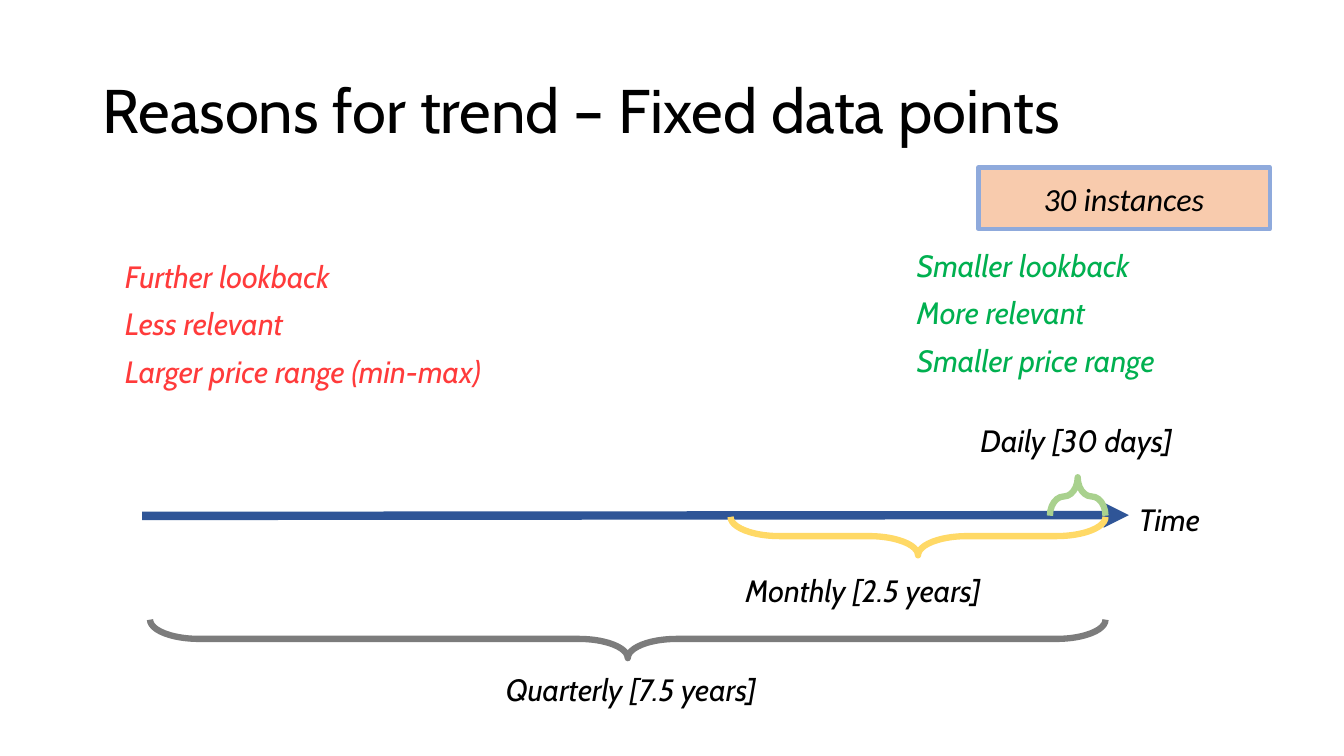
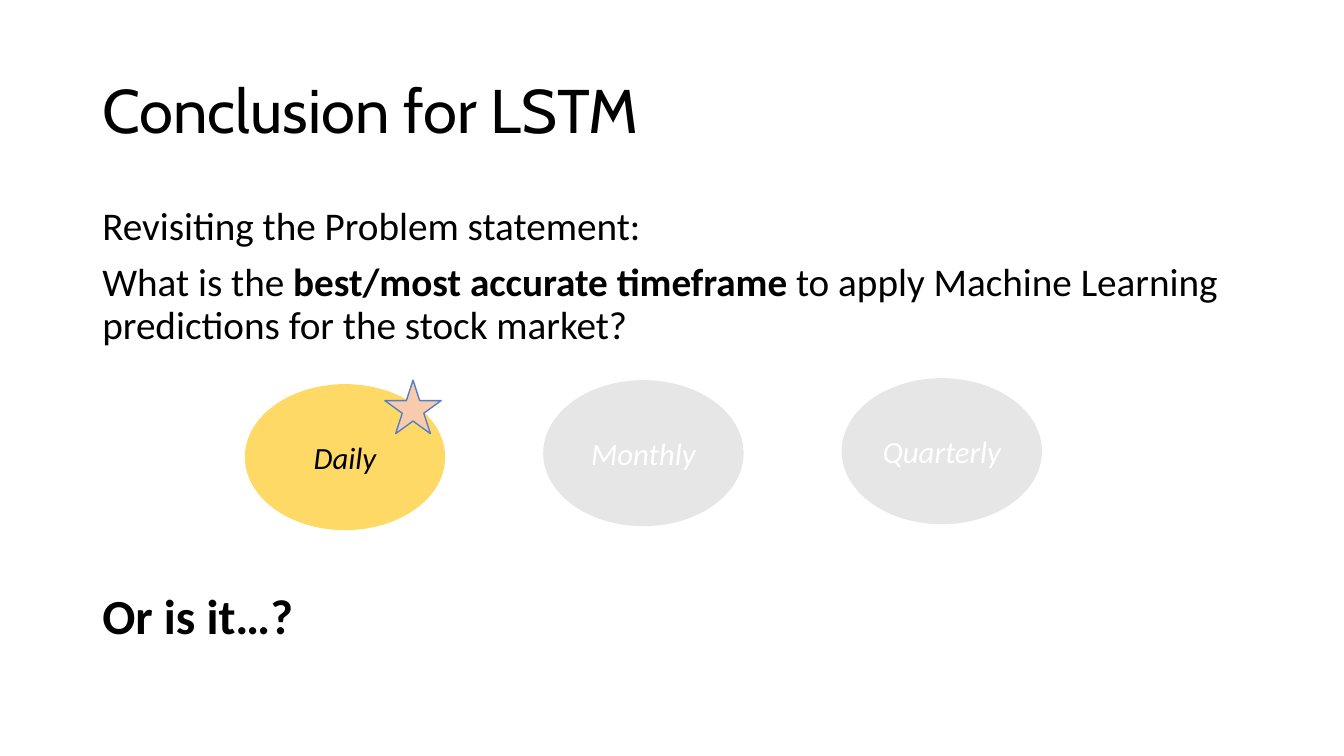
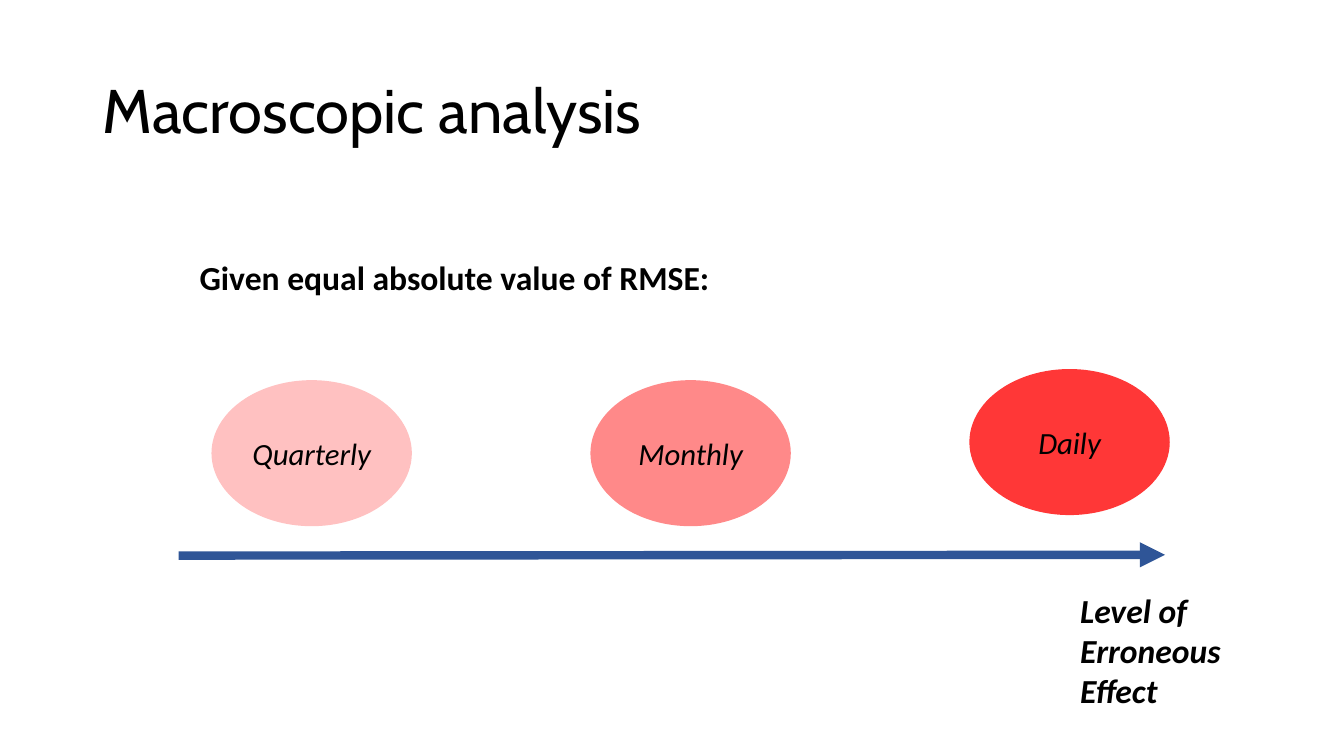
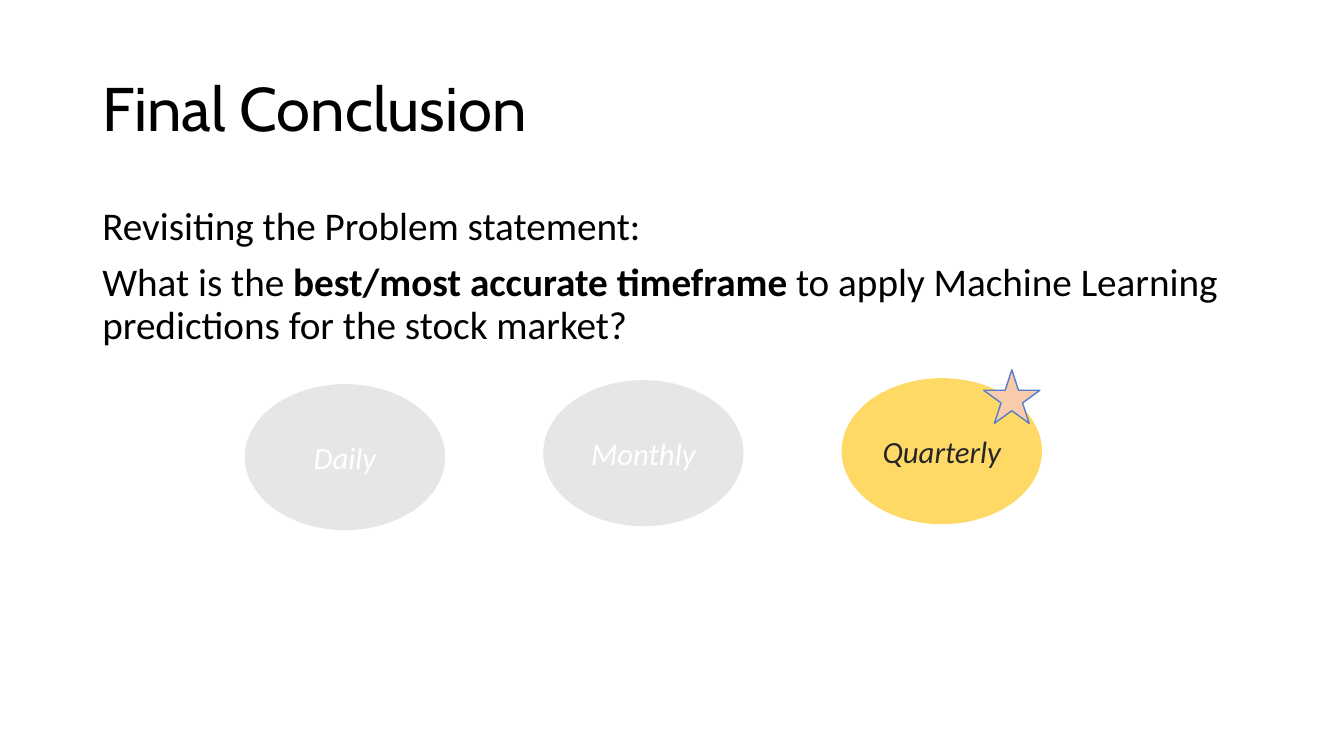
from pptx import Presentation
from pptx.dml.color import RGBColor
from pptx.enum.shapes import MSO_CONNECTOR, MSO_SHAPE
from pptx.enum.text import MSO_ANCHOR, PP_ALIGN
from pptx.oxml.ns import qn
from pptx.util import Cm, Pt
from lxml.etree import SubElement

# Shared look
HEADING, BODY = "Cabin", "Calibri"
BLACK, WHITE = "000000", "FFFFFF"
RED, GREEN, NAVY = "FF3B3B", "00B050", "2F5597"
GOLD, GRAY, PEACH = "FFD966", "E7E6E6", "F8CBAD"
OVAL_WIDTH, OVAL_HEIGHT = 5.05, 3.68


def color(value):
    return RGBColor.from_string(value)


def write(frame, text, font, size, ink, bold=False, italic=False,
          align=PP_ALIGN.LEFT, spacing=0.9):
    """Fill a text frame, one paragraph per line, in a single style."""
    frame.word_wrap = True
    frame.text = text
    for number, para in enumerate(frame.paragraphs):
        para.alignment = align
        para.line_spacing = spacing
        para.space_before = Pt(10 if number else 0)
        for span in para.runs:
            span.font.name, span.font.size = font, Pt(size)
            span.font.bold, span.font.italic = bold, italic
            span.font.color.rgb = color(ink)


deck = Presentation()
deck.slide_width, deck.slide_height = Cm(33.87), Cm(19.05)

# Titles
pages = []
for title, top in [
    ("Reasons for trend – Fixed data points", 1.02),
    ("Conclusion for LSTM", 1.02),
    ("Macroscopic analysis", 1.02),
    ("Final Conclusion", 0.97),
]:
    page = deck.slides.add_slide(deck.slide_layouts[5])
    box = page.shapes.title
    box.left, box.top, box.width, box.height = Cm(2.33), Cm(top), Cm(29.21), Cm(3.68)
    box.text_frame.vertical_anchor = MSO_ANCHOR.MIDDLE
    write(box.text_frame, title, HEADING, 44, BLACK)
    pages.append(page)
trend, lstm, macro, final = pages

# Horizontal arrows
for page, start, end, y in [(trend, 3.58, 28.45, 13), (macro, 4.5, 29.36, 14)]:
    arrow = page.shapes.add_connector(
        MSO_CONNECTOR.STRAIGHT, Cm(start), Cm(y), Cm(end), Cm(y - 0.02))
    arrow.line.color.rgb = color(NAVY)
    arrow.line.width = Pt(6)
    SubElement(arrow.line._get_or_add_ln(), qn("a:tailEnd"), type="triangle")
    SubElement(arrow._element.spPr, qn("a:effectLst"))

# Trend: remarks and time labels
for text, left, top, width, height, ink in [
    ("Further lookback\nLess relevant\nLarger price range (min-max)",
     2.9, 6.48, 11.56, 3.6, RED),
    ("Smaller lookback\nMore relevant\nSmaller price range",
     22.86, 6.2, 8.2, 3.6, GREEN),
    ("Time", 28.45, 12.6, 2.84, 1.3, BLACK),
    ("Daily [30 days]", 24.46, 10.62, 6.43, 1.17, BLACK),
    ("Monthly [2.5 years]", 18.54, 14.38, 7.62, 1.17, BLACK),
    ("Quarterly [7.5 years]", 12.5, 16.89, 8.51, 1.17, BLACK),
]:
    box = trend.shapes.add_textbox(Cm(left), Cm(top), Cm(width), Cm(height))
    write(box.text_frame, text, HEADING, 22, ink, italic=True)

# Trend: braces, all ending at the same moment
BRACE_END, BRACE_DEPTH = 27.86, 0.97
for span_length, middle, turn, ink in [
    (1.4, 12.51, 270, "A9D18E"),
    (9.45, 13.51, 90, GOLD),
    (24.08, 16.1, 90, "7C7C7C"),
]:
    center = BRACE_END - span_length / 2
    brace = trend.shapes.add_shape(
        MSO_SHAPE.RIGHT_BRACE, Cm(center - BRACE_DEPTH / 2),
        Cm(middle - span_length / 2), Cm(BRACE_DEPTH), Cm(span_length))
    brace.rotation = turn
    brace.adjustments[0] = 1.28
    brace.shadow.inherit = False
    brace.fill.background()
    brace.line.color.rgb = color(ink)
    brace.line.width = Pt(4.5)

# Trend: instance count
badge = trend.shapes.add_shape(
    MSO_SHAPE.RECTANGLE, Cm(24.66), Cm(4.22), Cm(7.34), Cm(1.55))
badge.shadow.inherit = False
badge.fill.solid()
badge.fill.fore_color.rgb = color(PEACH)
badge.line.color.rgb = color("8FAADC")
badge.line.width = Pt(3)
write(badge.text_frame, "30 instances", BODY, 23, BLACK, italic=True,
      align=PP_ALIGN.CENTER, spacing=1.0)

# Problem statement on both conclusions
for page in (lstm, final):
    box = page.shapes.add_textbox(Cm(2.33), Cm(5.08), Cm(29.21), Cm(4))
    write(box.text_frame, "Revisiting the Problem statement:\nWhat is the ",
          BODY, 28, BLACK)
    question = box.text_frame.paragraphs[1]
    for text, bold in [
        ("best/most accurate timeframe ", True),
        ("to apply Machine Learning predictions for the stock market?", False),
    ]:
        span = question.add_run()
        span.text = text
        span.font.name, span.font.size, span.font.bold = BODY, Pt(28), bold
        span.font.color.rgb = color(BLACK)

box = lstm.shapes.add_textbox(Cm(2.33), Cm(14.79), Cm(29.21), Cm(1.8))
write(box.text_frame, "Or is it…?", BODY, 35, BLACK, bold=True)

# Macroscopic analysis: captions
for text, left, top, width, height, italic in [
    ("Given equal absolute value of RMSE:", 4.78, 6.35, 16.18, 1.27, False),
    ("Level of Erroneous Effect", 26.97, 14.73, 5.23, 3.33, True),
]:
    box = macro.shapes.add_textbox(Cm(left), Cm(top), Cm(width), Cm(height))
    write(box.text_frame, text, BODY, 24, BLACK, bold=True, italic=italic, spacing=1.0)

# Rows of timeframe ovals: label, top, fill, ink
for page, first_left, step, ovals in [
    (lstm, 6.17, 7.52, [("Daily", 9.68, GOLD, BLACK),
                        ("Monthly", 9.58, GRAY, WHITE),
                        ("Quarterly", 9.53, GRAY, WHITE)]),
    (macro, 5.33, 9.55, [("Quarterly", 9.58, "FFC1C1", BLACK),
                         ("Monthly", 9.58, "FF8989", BLACK),
                         ("Daily", 9.3, "FF3737", BLACK)]),
    (final, 6.17, 7.52, [("Daily", 9.68, GRAY, WHITE),
                         ("Monthly", 9.58, GRAY, WHITE),
                         ("Quarterly", 9.53, GOLD, "262626")]),
]:
    for column, (label, top, fill, ink) in enumerate(ovals):
        oval = page.shapes.add_shape(
            MSO_SHAPE.OVAL, Cm(first_left + column * step), Cm(top),
            Cm(OVAL_WIDTH), Cm(OVAL_HEIGHT))
        oval.shadow.inherit = False
        oval.fill.solid()
        oval.fill.fore_color.rgb = color(fill)
        oval.line.fill.background()
        write(oval.text_frame, label, BODY, 22, ink, italic=True,
              align=PP_ALIGN.CENTER, spacing=1.0)

# Stars on the winning timeframes
for page, left, top in [(lstm, 9.7, 9.58), (final, 24.79, 9.32)]:
    star = page.shapes.add_shape(
        MSO_SHAPE.STAR_5_POINT, Cm(left), Cm(top), Cm(1.42), Cm(1.42))
    star.height = Cm(1.35)
    star.shadow.inherit = False
    star.fill.solid()
    star.fill.fore_color.rgb = color(PEACH)
    star.line.color.rgb = color("557EC7")
    star.line.width = Pt(1)

deck.save("out.pptx")
